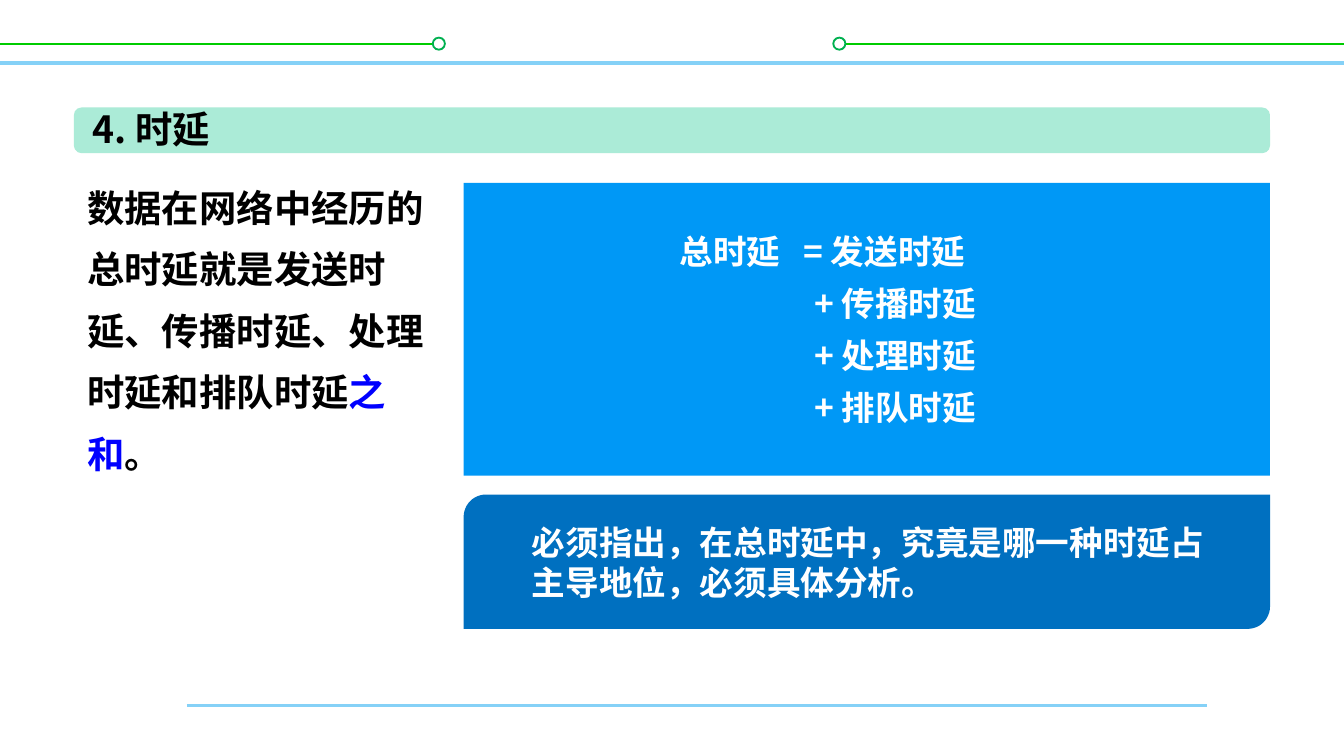
from lxml.etree import SubElement
from pptx import Presentation
from pptx.dml.color import RGBColor
from pptx.enum.shapes import MSO_CONNECTOR as Connector, MSO_SHAPE as Shape
from pptx.enum.text import MSO_ANCHOR as Anchor, PP_ALIGN as Align
from pptx.oxml.ns import qn
from pptx.util import Inches, Pt

WIDTH = 10
HEIGHT = WIDTH * 9 / 16
FONT = "Noto Sans CJK SC"
WHITE, BLACK, BLUE = "FFFFFF", "000000", "0000FF"
SKY, GREEN, RING = "85D1F7", "00CC00", "00B050"

# Shared edges of the content area
LEFT, RIGHT, SPLIT = 0.55, 9.45, 3.45
PANEL_WIDTH = RIGHT - SPLIT


def color(value):
    return RGBColor.from_string(value)


def inches(values):
    return [Inches(value) for value in values]


def add_line(page, start, end, stroke, width):
    line = page.shapes.add_connector(
        Connector.STRAIGHT, *inches(start), *inches(end))
    line.line.color.rgb = color(stroke)
    line.line.width = Pt(width)
    SubElement(line.element.spPr, qn("a:effectLst"))


def add_block(page, kind, area, fill, stroke=None):
    block = page.shapes.add_shape(kind, *inches(area))
    block.shadow.inherit = False
    block.fill.solid()
    block.fill.fore_color.rgb = color(fill)
    if stroke:
        block.line.color.rgb = color(stroke)
        block.line.width = Pt(1)
    else:
        block.line.fill.background()


def add_span(para, text, size, ink):
    span = para.add_run()
    span.text = text
    for name, value in {"name": FONT, "size": Pt(size), "bold": True}.items():
        setattr(span.font, name, value)
    span.font.color.rgb = color(ink)
    SubElement(span.font._element, qn("a:ea"), typeface=FONT)


def add_tab_stop(para, position):
    stops = SubElement(para._p.get_or_add_pPr(), qn("a:tabLst"))
    SubElement(stops, qn("a:tab"), pos=str(Inches(position)), algn="l")


def format_para(para, **values):
    for name, value in values.items():
        setattr(para, name, value)
    # Keep closing punctuation inside the margin
    para._p.get_or_add_pPr().set("hangingPunct", "0")


def add_text(page, area):
    box = page.shapes.add_textbox(*inches(area))
    box.text_frame.word_wrap = True
    return box.text_frame


def add_frame_lines(page):
    add_line(page, (0, 0.47), (WIDTH, 0.47), SKY, 2)
    # Green lines, each ending in a ring
    for start, end, ring in ((0, 3.24, 3.22), (6.2, WIDTH, 6.2)):
        add_line(page, (start, 0.33), (end, 0.33), GREEN, 1)
        add_block(page, Shape.OVAL, (ring, 0.28, 0.09, 0.09), WHITE, RING)
    add_line(page, (1.39, 5.25), (8.98, 5.25), SKY, 1.5)


def add_title(page, text):
    add_block(page, Shape.ROUNDED_RECTANGLE,
              (LEFT, 0.8, RIGHT - LEFT, 0.34), "ABEBD7")
    title = page.shapes.title
    title.left, title.top, title.width, title.height = inches(
        (0.59, 0.74, 1.19, 0.44))
    frame = title.text_frame
    frame.word_wrap = False
    frame.vertical_anchor = Anchor.MIDDLE
    para = frame.paragraphs[0]
    para.alignment = Align.LEFT
    add_span(para, text, 20, BLACK)
    page.shapes.element.append(title.element)  # in front of its bar


def add_definition(page):
    para = add_text(page, (LEFT, 1.2, 2.9, 1.95)).paragraphs[0]
    format_para(para, line_spacing=Pt(33))
    for text, ink in (
            ("数据在网络中经历的总时延就是发送时延、传播时延、处理时延和排队时延", BLACK),
            ("之和", BLUE), ("。", BLACK)):
        add_span(para, text, 20, ink)


def add_formula(page):
    add_block(page, Shape.RECTANGLE, (SPLIT, 1.36, PANEL_WIDTH, 2.18), "0098F6")
    frame = add_text(page, (4.96, 1.67, 3, 1.56))
    rows = ("总时延\t= 发送时延", "\t+ 传播时延", "\t+ 处理时延", "\t+ 排队时延")
    for index, row in enumerate(rows):
        para = frame.add_paragraph() if index else frame.paragraphs[0]
        format_para(para, line_spacing=Pt(21.7))
        if index:
            format_para(para, space_before=Pt(6))
        add_tab_stop(para, 1 if index else 0.92)
        add_span(para, row, 18, WHITE)


def add_remark(page):
    add_block(page, Shape.ROUND_2_DIAG_RECTANGLE,
              (SPLIT, 3.68, PANEL_WIDTH, 1), "0070C0")
    para = add_text(page, (3.86, 3.83, 5.4, 0.71)).paragraphs[0]
    format_para(para, line_spacing=Pt(21.7))
    add_span(para, "必须指出，在总时延中，究竟是哪一种时延占主导地位，必须具体分析。",
             18, WHITE)


def main():
    deck = Presentation()
    deck.slide_width, deck.slide_height = inches((WIDTH, HEIGHT))
    page = deck.slides.add_slide(deck.slide_layouts[5])  # title only
    add_frame_lines(page)
    add_definition(page)
    add_formula(page)
    add_remark(page)
    add_title(page, "4. 时延")
    deck.save("out.pptx")


if __name__ == "__main__":
    main()
